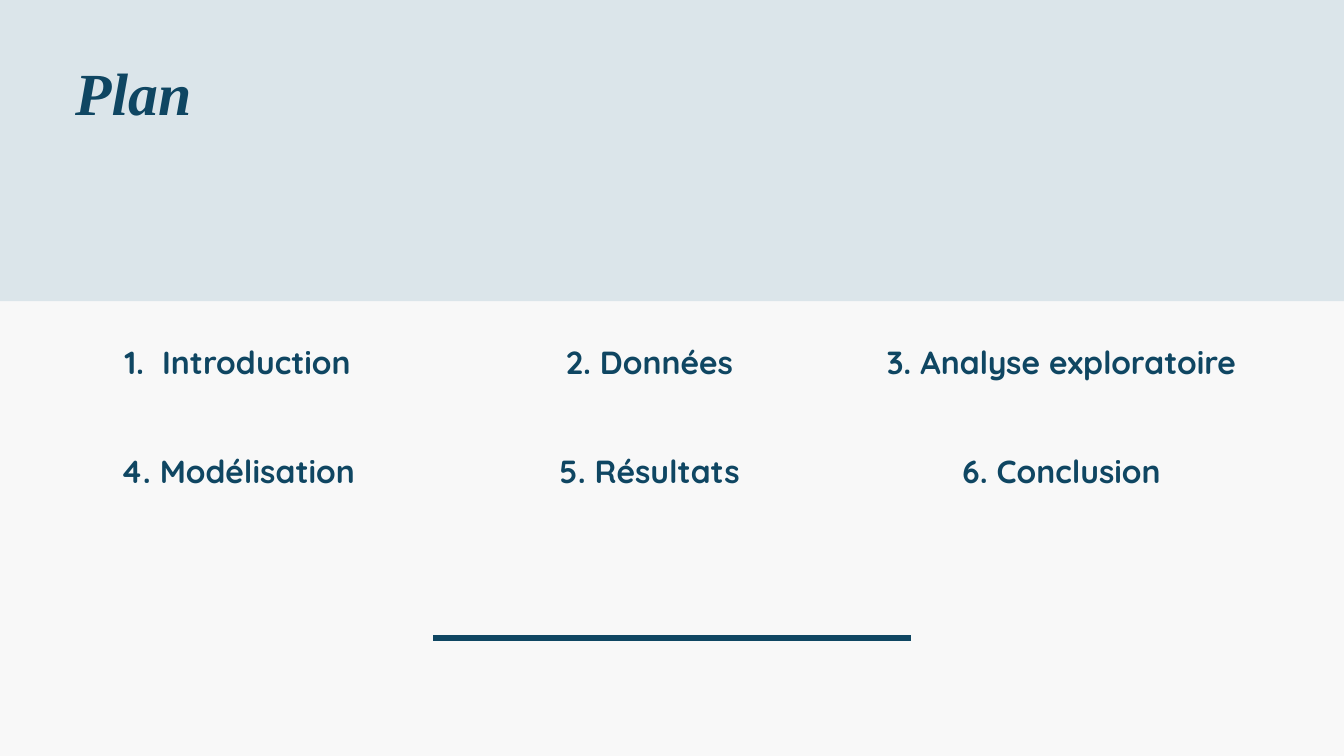
from lxml import etree
from pptx import Presentation
from pptx.dml.color import RGBColor
from pptx.enum import shapes, text
from pptx.oxml import ns
from pptx.util import Inches, Pt

NAVY = RGBColor(0x0F, 0x46, 0x62)
PALE_BLUE = RGBColor(0xDB, 0xE5, 0xEA)
OFF_WHITE = RGBColor(0xF8, 0xF8, 0xF8)

HEADING = "Plan"
SECTIONS = [
    ["Introduction", "2. Données", "3. Analyse exploratoire"],
    ["4. Modélisation", "5. Résultats", "6. Conclusion"],
]
AUTO_NUMBERED = "Introduction"

WIDTH, HEIGHT, BAND_HEIGHT = 20, 11.25, 4.48
GRID_LEFT, GRID_TOP = 0.79, 5
COLUMN_STEP, ROW_STEP = 6.13, 1.62
CELL_WIDTH, CELL_HEIGHT = 5.49, 0.62
RULE_LENGTH, RULE_TOP = 7.1, 9.49
NUMBER_INDENT = 0.56


def add_label(slide, words, left, top, width, height, size, spacing, font, align, italic=None):
    frame = slide.shapes.add_textbox(
        Inches(left), Inches(top), Inches(width), Inches(height)).text_frame
    frame.margin_left = frame.margin_right = frame.margin_top = frame.margin_bottom = 0
    frame.word_wrap = True
    frame.auto_size = text.MSO_AUTO_SIZE.SHAPE_TO_FIT_TEXT
    paragraph = frame.paragraphs[0]
    paragraph.alignment = align
    paragraph.line_spacing = Pt(spacing)
    run = paragraph.add_run()
    run.text = words
    run.font.name = font
    run.font.size = Pt(size)
    run.font.bold = True
    run.font.italic = italic
    run.font.color.rgb = NAVY
    return paragraph


def number(paragraph):
    properties = paragraph._p.get_or_add_pPr()
    properties.set("marL", str(Inches(NUMBER_INDENT)))
    properties.set("indent", str(-Inches(NUMBER_INDENT)))
    etree.SubElement(properties, ns.qn("a:buAutoNum"), type="arabicPeriod")


def main():
    deck = Presentation()
    deck.slide_width, deck.slide_height = Inches(WIDTH), Inches(HEIGHT)
    slide = deck.slides.add_slide(deck.slide_layouts[6])
    slide.background.fill.solid()
    slide.background.fill.fore_color.rgb = OFF_WHITE

    band = slide.shapes.add_shape(
        shapes.MSO_SHAPE.RECTANGLE, 0, 0, Inches(WIDTH), Inches(BAND_HEIGHT))
    band.shadow.inherit = False
    band.fill.solid()
    band.fill.fore_color.rgb = PALE_BLUE
    band.line.fill.background()

    add_label(slide, HEADING, 1.12, 0.66, 10.84, 1.2, 64, 89.6,
              "Times New Roman", text.PP_ALIGN.LEFT, italic=True)

    for row, sections in enumerate(SECTIONS):
        for column, section in enumerate(sections):
            paragraph = add_label(
                slide, section,
                GRID_LEFT + column * COLUMN_STEP, GRID_TOP + row * ROW_STEP,
                CELL_WIDTH, CELL_HEIGHT, 34.2, 47.9, "Quicksand", text.PP_ALIGN.CENTER)
            if section == AUTO_NUMBERED:
                number(paragraph)

    rule_left = (WIDTH - RULE_LENGTH) / 2
    rule = slide.shapes.add_connector(
        shapes.MSO_CONNECTOR.STRAIGHT, Inches(rule_left), Inches(RULE_TOP),
        Inches(rule_left + RULE_LENGTH), Inches(RULE_TOP))
    rule.line.color.rgb = NAVY
    rule.line.width = Pt(6)
    etree.SubElement(rule._element.spPr, ns.qn("a:effectLst"))

    deck.save("out.pptx")


if __name__ == "__main__":
    main()
